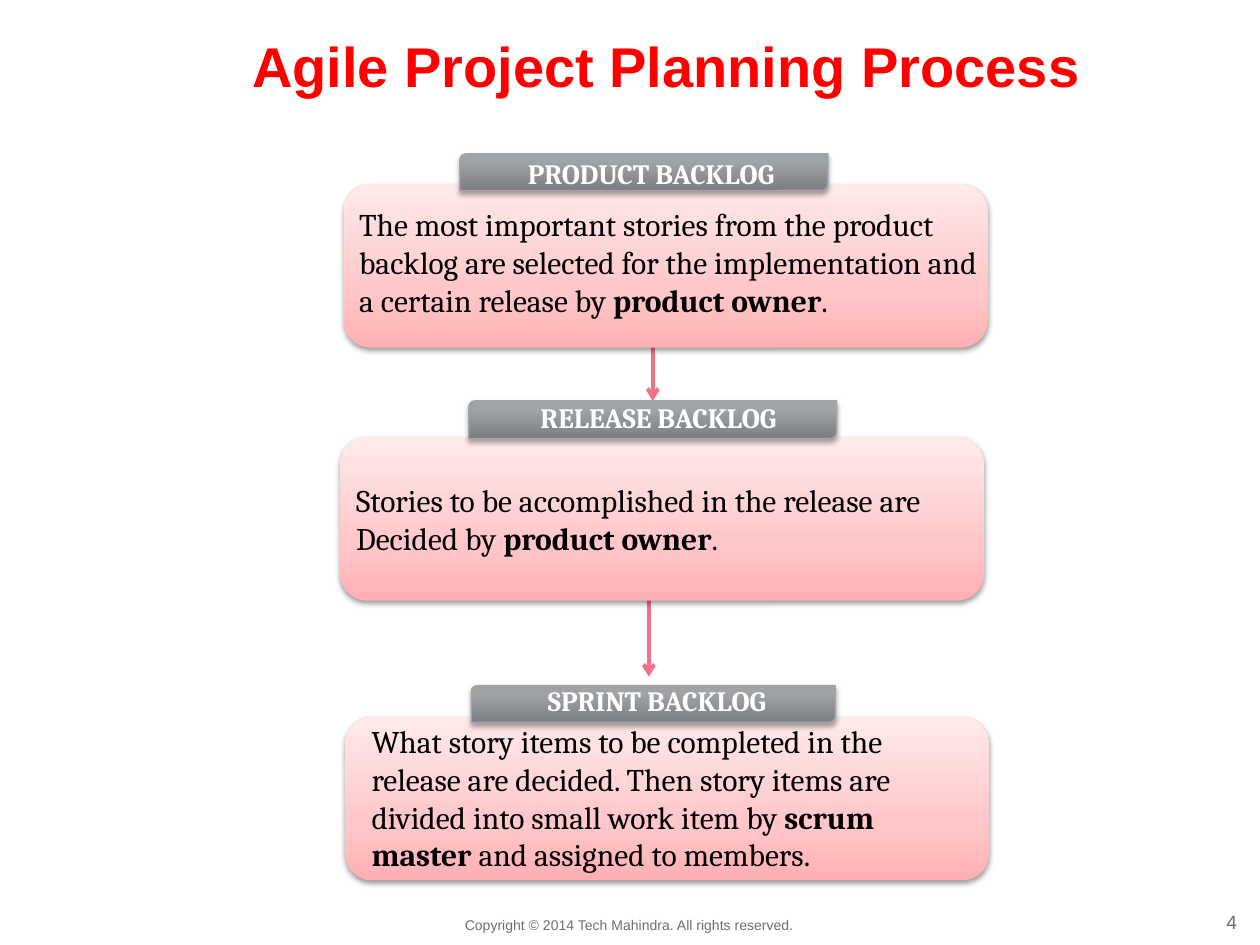
from pptx import Presentation
from pptx.dml.color import RGBColor
from pptx.enum import shapes, text
from pptx.oxml.ns import qn
from pptx.util import Cm, Pt
from lxml import etree

RED = RGBColor(0xFF, 0x00, 0x00)
WHITE = RGBColor(0xFF, 0xFF, 0xFF)
BLACK = RGBColor(0x00, 0x00, 0x00)
FOOTER_GRAY = RGBColor(0x6D, 0x6E, 0x71)
TAB_EDGE = RGBColor(0xA3, 0xA5, 0xA8)
ARROW_PINK = RGBColor(0xF0, 0x72, 0x86)
# Gradient stops, bottom to top: (percent, colour)
CARD_FILL = [(0, RGBColor(0xFF, 0xB0, 0xB3)), (35, RGBColor(0xFF, 0xC7, 0xC9)),
             (100, RGBColor(0xFF, 0xEA, 0xEA))]
TAB_FILL = [(0, RGBColor(0x7C, 0x7E, 0x81)), (80, RGBColor(0xA1, 0xA4, 0xA7)),
            (100, RGBColor(0xA2, 0xA4, 0xA8))]

TITLE = "Agile Project Planning Process"
COPYRIGHT = "Copyright © 2014 Tech Mahindra. All rights reserved."
CARD_SIZE = (12.98, 3.3)
HEADING_SIZE = (7.19, 0.69)

# Places in cm; body is a list of paragraphs, each a list of (text, bold)
STAGES = [
    dict(heading="PRODUCT BACKLOG", card=(6.93, 3.71), tab=(9.27, 3.1, 7.42, 0.74),
         heading_at=(9.53, 3.15), body_at=(6.99, 4.01, 13.13, 2.57),
         body=[[("The most important stories from the product backlog are selected "
                 "for the implementation and a certain release by ", False),
                ("product owner", True), (".", False)]]),
    dict(heading="RELEASE BACKLOG", card=(6.86, 8.81), tab=(9.45, 8.08, 7.42, 0.76),
         heading_at=(9.68, 8.08), body_at=(6.93, 9.58, 12.78, 1.8),
         body=[[("Stories to be accomplished in the release are", False)],
               [("Decided by ", False), ("product owner", True), (".", False)]]),
    dict(heading="SPRINT BACKLOG", card=(6.96, 14.45), tab=(9.5, 13.82, 7.34, 0.74),
         heading_at=(9.65, 13.79), body_at=(7.24, 14.43, 12.5, 3.33),
         body=[[("What story items to be completed in the release are decided. Then "
                 "story items are divided into small work item by ", False),
                ("scrum master ", True), ("and assigned to members.", False)]]),
]
ARROWS = [(13.08, 11.68), (13.16, 6.12)]
ARROW_LENGTH = 1.96


def cm(values):
    return [Cm(v) for v in values]


def style_font(font, name, size, color, bold=False):
    font.name, font.size, font.bold = name, Pt(size), bold
    font.color.rgb = color


def clear_margins(tf):
    tf.margin_left = tf.margin_right = tf.margin_top = tf.margin_bottom = 0


def add_block(s, kind, box, stops, shadow_alpha, shadow_distance):
    """Add a shape with an upward gradient and a soft shadow below it."""
    sp = s.shapes.add_shape(kind, *cm(box))
    sp.fill.gradient()
    sp.fill.gradient_angle = 90
    props = sp._element.spPr
    stop_list = props.find(qn("a:gradFill")).find(qn("a:gsLst"))
    for old in list(stop_list):
        stop_list.remove(old)
    for percent, color in stops:
        gs = etree.SubElement(stop_list, qn("a:gs"), pos=str(percent * 1000))
        etree.SubElement(gs, qn("a:srgbClr"), val=str(color))
    sp.line.fill.background()
    sp.shadow.inherit = False
    shadow = etree.SubElement(props.find(qn("a:effectLst")), qn("a:outerShdw"),
                              blurRad=str(Pt(3.1)), dist=str(Pt(shadow_distance)),
                              dir="5400000", rotWithShape="0")
    black = etree.SubElement(shadow, qn("a:srgbClr"), val=str(BLACK))
    etree.SubElement(black, qn("a:alpha"), val=str(shadow_alpha * 1000))
    return sp


def add_text(s, box, paragraphs, name, size, color, align=None, margins=False, wrap=True):
    tf = s.shapes.add_textbox(*cm(box)).text_frame
    tf.word_wrap = wrap
    if not margins:
        clear_margins(tf)
    for i, runs in enumerate(paragraphs):
        p = tf.add_paragraph() if i else tf.paragraphs[0]
        p.alignment = align
        for content, bold in runs:
            r = p.add_run()
            r.text = content
            style_font(r.font, name, size, color, bold)
    return tf


def add_arrow(s, x, y):
    line = s.shapes.add_connector(shapes.MSO_CONNECTOR.STRAIGHT,
                                  *cm((x, y, x, y + ARROW_LENGTH)))
    line.line.color.rgb = ARROW_PINK
    line.line.width = Pt(2.25)
    props = line._element.spPr
    etree.SubElement(props.find(qn("a:ln")), qn("a:tailEnd"), type="arrow")
    etree.SubElement(props, qn("a:effectLst"))


def main():
    prs = Presentation()
    prs.slide_width, prs.slide_height = Cm(25.4), Cm(19.05)
    s = prs.slides.add_slide(prs.slide_layouts[5])

    title = s.shapes.title
    title.left, title.top, title.width, title.height = cm((5.08, 0.64, 19.35, 1.37))
    tf = title.text_frame
    tf.text = TITLE
    tf.vertical_anchor = text.MSO_ANCHOR.TOP
    tf.auto_size = text.MSO_AUTO_SIZE.NONE
    clear_margins(tf)
    tf.paragraphs[0].alignment = text.PP_ALIGN.LEFT
    style_font(tf.paragraphs[0].runs[0].font, "Arial", 32, RED, True)

    number = add_text(s, (24.46, 18.34, 0.48, 0.48), [[("4", False)]], "Arial", 11,
                      FOOTER_GRAY, text.PP_ALIGN.RIGHT)
    number.vertical_anchor = text.MSO_ANCHOR.MIDDLE
    add_text(s, (9.37, 18.47, 6.76, 0.36), [[(COPYRIGHT, False)]], "Arial", 8,
             FOOTER_GRAY, wrap=False)

    for x, y in ARROWS:
        add_arrow(s, x, y)
    for stage in reversed(STAGES):
        add_block(s, shapes.MSO_SHAPE.ROUNDED_RECTANGLE, stage["card"] + CARD_SIZE,
                  CARD_FILL, 38, 1.6)
    for stage in STAGES:
        tab = add_block(s, shapes.MSO_SHAPE.ROUND_2_DIAG_RECTANGLE, stage["tab"],
                        TAB_FILL, 35, 1.8)
        tab.line.color.rgb = TAB_EDGE
        tab.line.width = Pt(0.75)
        add_text(s, stage["heading_at"] + HEADING_SIZE, [[(stage["heading"], True)]],
                 "Cambria", 16, WHITE, text.PP_ALIGN.CENTER)
        add_text(s, stage["body_at"], stage["body"], "Cambria", 18, BLACK, margins=True)

    prs.save("out.pptx")


if __name__ == "__main__":
    main()
